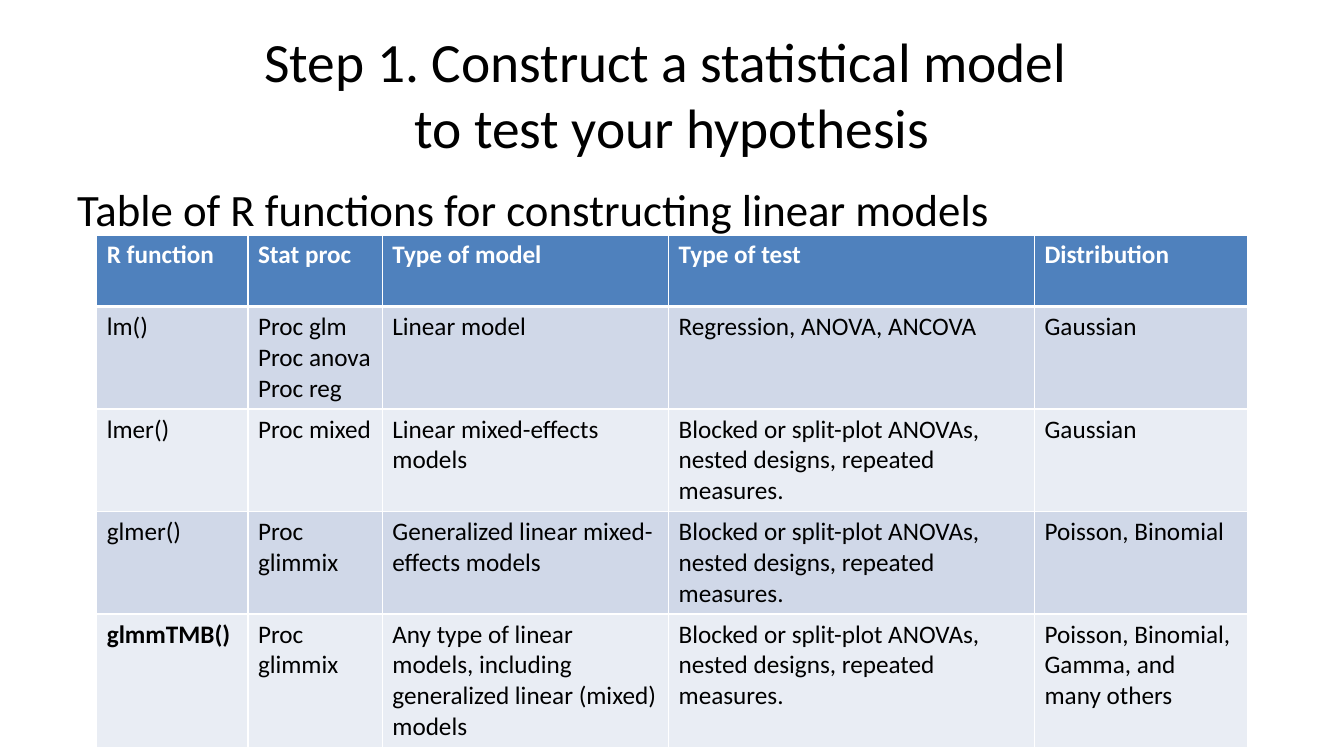
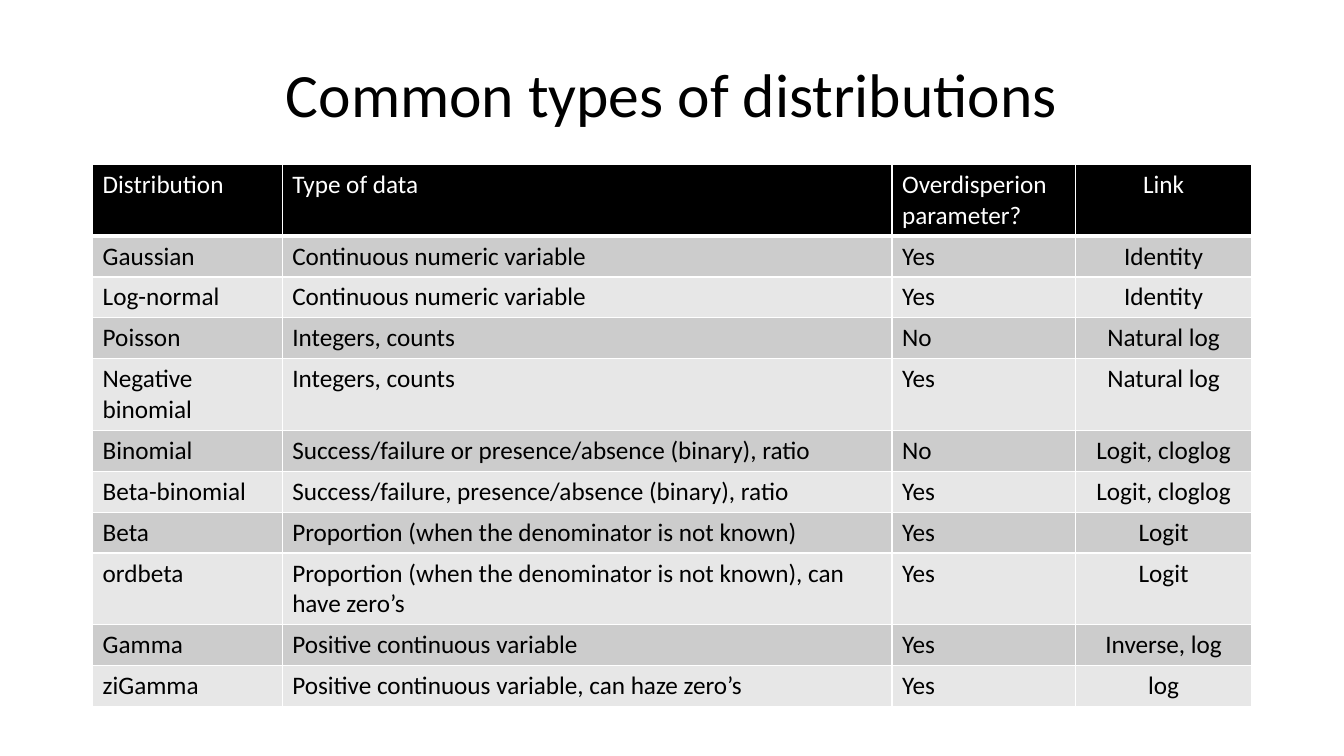
from lxml.etree import SubElement
from pptx import Presentation
from pptx.dml.color import RGBColor
from pptx.enum.text import MSO_ANCHOR as ANCHOR, PP_ALIGN as ALIGN
from pptx.oxml.ns import qn
from pptx.util import Pt

FONT = "Calibri"
COLORS = {"text": "000000", "line": "FFFFFF", "header_text": "FFFFFF"}
BLUE = {"header": "4F81BD", "bands": ("D0D8E8", "E9EDF4")}
GRAY = {"header": "000000", "bands": ("CCCCCC", "E7E7E7")}
CELL_SIZE, LINE_HEIGHT, CELL_MARGINS = 18, 22, 7.2
DESIGNS = "Blocked or split-plot ANOVAs, nested designs, repeated measures."

SLIDES = [
    {
        "title": "Step 1. Construct a statistical model \vto test your hypothesis",
        "title_size": 39.6,
        "subtitle": "Table of R functions for constructing linear models",
        "table": {
            "left": 69.1, "top": 167.8, "theme": BLUE,
            "widths": [108, 96, 204.5, 261.4, 152],
            "lines": [2, 3, 3, 3, 4],
            "bold": {"R function", "Stat proc", "Type of model", "Type of test",
                     "Distribution", "glmmTMB()"},
            "centered": set(),
            "rows": [
                ("R function", "Stat proc", "Type of model", "Type of test", "Distribution"),
                ("lm()", "Proc glm\nProc anova\nProc reg", "Linear model",
                 "Regression, ANOVA, ANCOVA", "Gaussian"),
                ("lmer()", "Proc mixed", "Linear mixed-effects models", DESIGNS, "Gaussian"),
                ("glmer()", "Proc glimmix", "Generalized linear mixed-effects models",
                 DESIGNS, "Poisson, Binomial"),
                ("glmmTMB()", "Proc glimmix",
                 "Any type of linear models, including generalized linear (mixed) models",
                 DESIGNS, "Poisson, Binomial, Gamma, and many others"),
            ],
        },
    },
    {
        "title": "Common types of distributions",
        "title_size": 44,
        "table": {
            "left": 66.2, "top": 117.4, "theme": GRAY,
            "widths": [135.4, 435.6, 131, 126],
            "lines": [2, 1, 1, 1, 2, 1, 1, 1, 2, 1, 1],
            "bold": set(),
            "centered": {3},
            "rows": [
                ("Distribution", "Type of data", "Overdisperion parameter?", "Link"),
                ("Gaussian", "Continuous numeric variable", "Yes", "Identity"),
                ("Log-normal", "Continuous numeric variable", "Yes", "Identity"),
                ("Poisson", "Integers, counts", "No", "Natural log"),
                ("Negative binomial", "Integers, counts", "Yes", "Natural log"),
                ("Binomial", "Success/failure or presence/absence (binary), ratio",
                 "No", "Logit, cloglog"),
                ("Beta-binomial", "Success/failure, presence/absence (binary), ratio",
                 "Yes", "Logit, cloglog"),
                ("Beta", "Proportion (when the denominator is not known)", "Yes", "Logit"),
                ("ordbeta", "Proportion (when the denominator is not known), can have zero’s",
                 "Yes", "Logit"),
                ("Gamma", "Positive continuous variable", "Yes", "Inverse, log"),
                ("ziGamma", "Positive continuous variable, can haze zero’s", "Yes", "log"),
            ],
        },
    },
]


def style(p, size, color, align=ALIGN.LEFT, bold=False):
    p.alignment = align
    p.font.name, p.font.size, p.font.bold = FONT, Pt(size), bold
    p.font.color.rgb = RGBColor.from_string(color)


def add_text(s, text, top, height, size, align, anchor):
    tf = s.shapes.add_textbox(Pt(48), Pt(top), Pt(864), Pt(height)).text_frame
    tf.word_wrap, tf.vertical_anchor = True, anchor
    p = tf.paragraphs[0]
    p.text = text
    style(p, size, COLORS["text"], align)


def set_borders(cell, widths):
    tc_pr = cell._tc.get_or_add_tcPr()
    for side, width in widths.items():
        ln = SubElement(tc_pr, qn(f"a:ln{side}"), w=str(Pt(width)))
        fill = SubElement(ln, qn("a:solidFill"))
        SubElement(fill, qn("a:srgbClr"), val=COLORS["line"])


def add_table(s, layout):
    rows, widths, theme = layout["rows"], layout["widths"], layout["theme"]
    heights = [CELL_MARGINS + LINE_HEIGHT * n for n in layout["lines"]]
    table = s.shapes.add_table(len(rows), len(widths), Pt(layout["left"]), Pt(layout["top"]),
                               Pt(sum(widths)), Pt(sum(heights))).table
    for column, width in zip(table.columns, widths):
        column.width = Pt(width)
    for row, height in zip(table.rows, heights):
        row.height = Pt(height)
    for i, values in enumerate(rows):
        fill = theme["bands"][(i - 1) % 2] if i else theme["header"]
        color = COLORS["text"] if i else COLORS["header_text"]
        borders = {"L": 1, "R": 1, "T": 3 if i == 1 else 1, "B": 1 if i else 3}
        for j, value in enumerate(values):
            cell = table.cell(i, j)
            set_borders(cell, borders)
            cell.fill.solid()
            cell.fill.fore_color.rgb = RGBColor.from_string(fill)
            cell.text = value
            align = ALIGN.CENTER if j in layout["centered"] else ALIGN.LEFT
            for p in cell.text_frame.paragraphs:
                style(p, CELL_SIZE, color, align, value in layout["bold"])


def main():
    prs = Presentation()
    prs.slide_width, prs.slide_height = Pt(960), Pt(540)
    for content in SLIDES:
        s = prs.slides.add_slide(prs.slide_layouts[6])
        add_text(s, content["title"], 21.6, 90, content["title_size"],
                 ALIGN.CENTER, ANCHOR.MIDDLE)
        if "subtitle" in content:
            add_text(s, content["subtitle"], 126, 46, 32, ALIGN.LEFT, ANCHOR.TOP)
        add_table(s, content["table"])
    prs.save("out.pptx")


if __name__ == "__main__":
    main()
